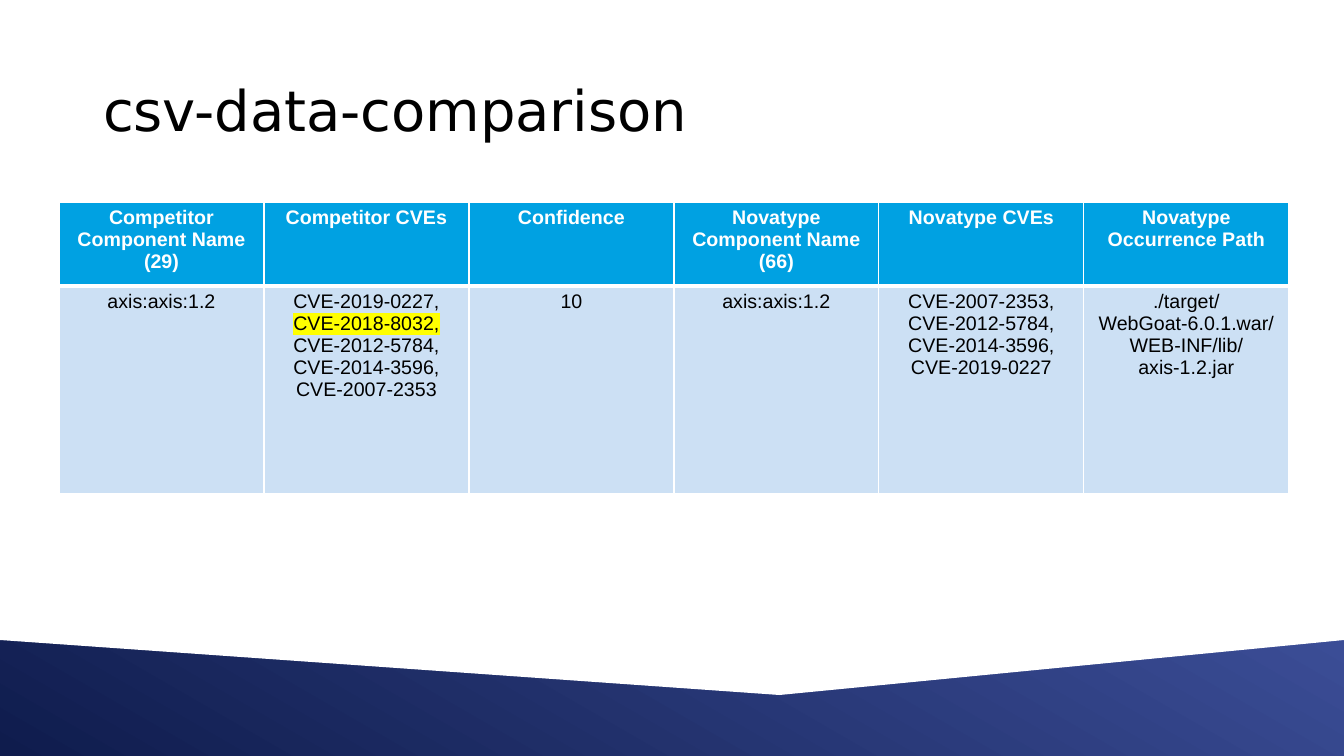
from lxml import etree
from pptx import Presentation
from pptx.dml.color import RGBColor
from pptx.enum.shapes import MSO_SHAPE
from pptx.enum.text import MSO_ANCHOR, MSO_AUTO_SIZE, PP_ALIGN
from pptx.oxml.ns import qn
from pptx.util import Pt

RECT, TRI = MSO_SHAPE.RECTANGLE, MSO_SHAPE.ISOSCELES_TRIANGLE
LEFT, CENTER = PP_ALIGN.LEFT, PP_ALIGN.CENTER
MIDDLE, FIXED = MSO_ANCHOR.MIDDLE, MSO_AUTO_SIZE.NONE

WHITE = RGBColor(0xFF, 0xFF, 0xFF)
BLACK = RGBColor(0, 0, 0)
NAVY = RGBColor(0x0F, 0x1C, 0x4D)
INDIGO = RGBColor(0x3B, 0x4D, 0x96)
AZURE = RGBColor(0x00, 0xA1, 0xE2)
PALE = RGBColor(0xCC, 0xE0, 0xF4)
YELLOW = RGBColor(0xFF, 0xFF, 0x00)

SCALE = 12192000 / 1344

HEADS = ["Competitor Component Name (29)", "Competitor CVEs", "Confidence",
         "Novatype Component Name (66)", "Novatype CVEs",
         "Novatype Occurrence Path"]
CELLS = ["axis:axis:1.2",
         "CVE-2019-0227, |CVE-2018-8032, |CVE-2012-5784, CVE-2014-3596, CVE-2007-2353",
         "10", "axis:axis:1.2",
         "CVE-2007-2353, CVE-2012-5784, CVE-2014-3596,\nCVE-2019-0227",
         "./target/WebGoat-6.0.1.war/WEB-INF/lib/axis-1.2.jar"]


def px(*sizes):
    return [round(size * SCALE) for size in sizes]


def tint(parent, color):
    etree.SubElement(parent, qn("a:srgbClr"), val=str(color))


def write(frame, text, size=14, font="Arial", color=BLACK, bold=False,
          align=CENTER, space=None):
    """Write one paragraph per line; text between bars is highlighted."""
    for row, line in enumerate(text.split("\n")):
        para = frame.add_paragraph() if row else frame.paragraphs[0]
        para.alignment = align
        para.line_spacing = space
        for part, words in enumerate(line.split("|")):
            run = para.add_run()
            run.text = words
            run.font.size = Pt(size)
            run.font.bold = bold
            run.font.color.rgb = color
            if part % 2:
                mark = etree.SubElement(run.font._element, qn("a:highlight"))
                tint(mark, YELLOW)
            run.font.name = font


class Deck:
    def __init__(self, wide, high):
        self.show = Presentation()
        self.show.slide_width, self.show.slide_height = px(wide, high)
        self.slide = self.show.slides.add_slide(self.show.slide_layouts[5])

    def shape(self, kind, box, turn=0):
        shape = self.slide.shapes.add_shape(kind, *px(*box))
        shape.rotation = turn
        shape.shadow.inherit = False
        shape.line.fill.background()
        return shape

    def band(self, box, start, end, angle, turn):
        fill = self.shape(RECT, box, turn).fill
        fill.gradient()
        fill.gradient_angle = angle
        for stop, color in zip(fill.gradient_stops, (start, end)):
            stop.color.rgb = color

    def notch(self, box, color, tip):
        shape = self.shape(TRI, box, 180)
        shape.adjustments[0] = tip
        shape.fill.solid()
        shape.fill.fore_color.rgb = color

    def title(self, text, box):
        title = self.slide.shapes.title
        title.left, title.top, title.width, title.height = px(*box)
        frame = title.text_frame
        frame.word_wrap = True
        frame.auto_size = FIXED
        frame.vertical_anchor = MIDDLE
        write(frame, text, size=40, font="DejaVu Sans", align=LEFT, space=0.9)

    def edge(self, cell, base):
        props = cell._tc.get_or_add_tcPr()
        for spot, side in enumerate("LRTB"):
            width = Pt(base if side == "B" else 1)
            line = etree.Element(qn("a:ln" + side), w=str(width))
            tint(etree.SubElement(line, qn("a:solidFill")), WHITE)
            props.insert(spot, line)

    def table(self, rows, box, highs):
        cols = len(rows[0])
        table = self.slide.shapes.add_table(len(rows), cols, *px(*box)).table
        table.horz_banding = False
        for col in table.columns:
            col.width = px(box[2] / cols)[0]
        for row, (texts, high) in enumerate(zip(rows, highs)):
            head = row == 0
            table.rows[row].height = px(high)[0]
            for col, text in enumerate(texts):
                cell = table.cell(row, col)
                cell.fill.solid()
                cell.fill.fore_color.rgb = AZURE if head else PALE
                self.edge(cell, 3 if head else 1)
                write(cell.text_frame, text, bold=head,
                      color=WHITE if head else BLACK)


def main():
    deck = Deck(1344, 756)
    deck.band((614, 26, 116, 1344), INDIGO, NAVY, angle=150, turn=270)
    deck.notch((0, 640, 1344, 55), WHITE, tip=0.42)
    deck.title("csv-data-comparison", (93, 40, 1159, 146))
    deck.table([HEADS, CELLS], (59, 202, 1230, 292), (84, 208))
    deck.show.save("out.pptx")


if __name__ == "__main__":
    main()
